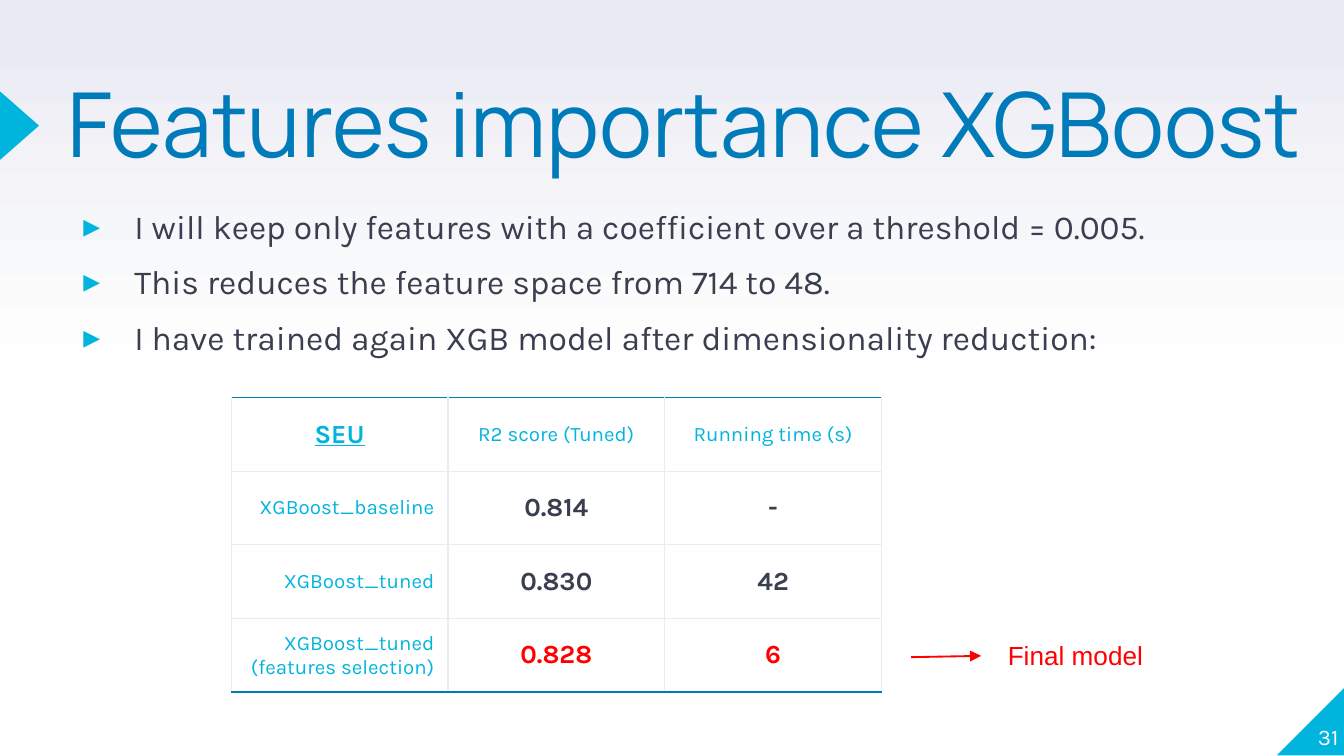
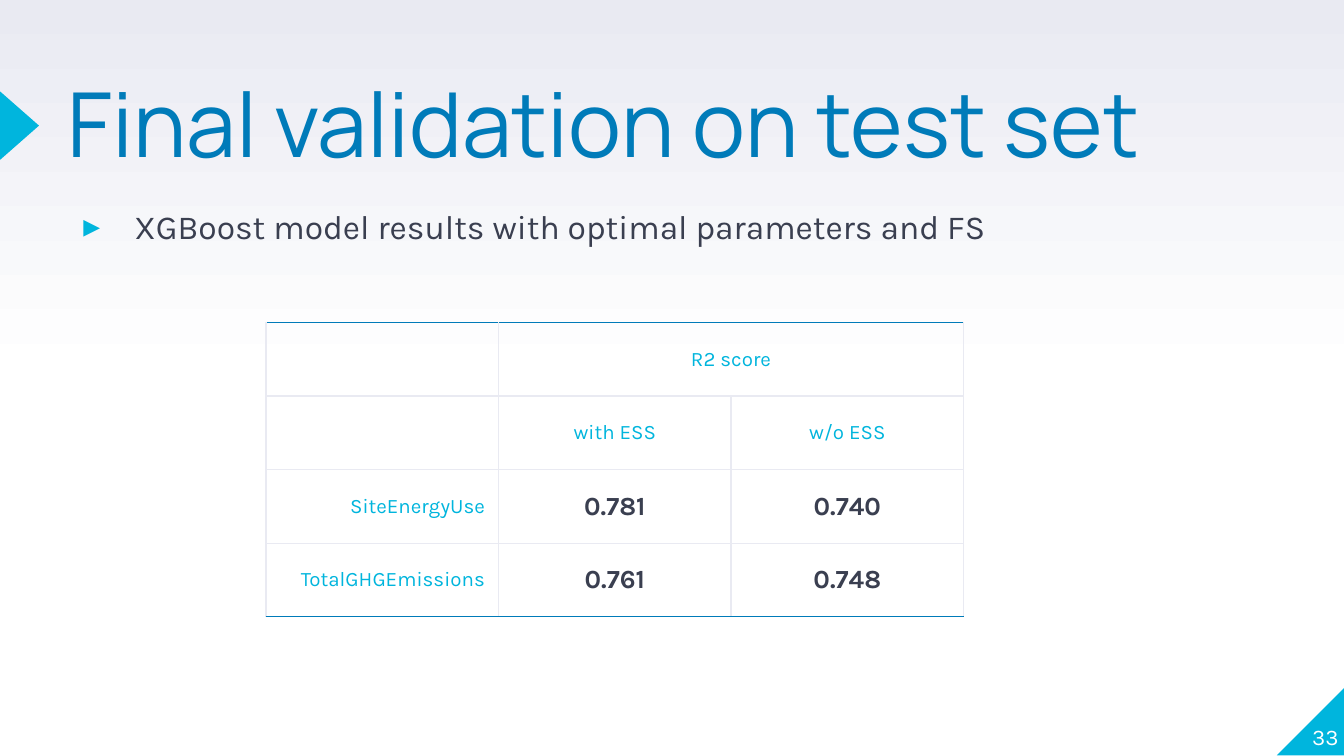
"""Build two slides on feature selection and final validation."""
import copy

import lxml.etree
import pptx
import pptx.dml.color
import pptx.enum.shapes
import pptx.enum.text
import pptx.oxml.ns
import pptx.util

Inches = pptx.util.Inches
Pt = pptx.util.Pt
qn = pptx.oxml.ns.qn
RGB = pptx.dml.color.RGBColor
ALIGN = pptx.enum.text.PP_ALIGN
ANCHOR = pptx.enum.text.MSO_ANCHOR
AUTO = pptx.enum.text.MSO_AUTO_SIZE
SHAPE = pptx.enum.shapes.MSO_SHAPE

BLUE = RGB(0x00, 0x7B, 0xB9)
CYAN = RGB(0x00, 0xB5, 0xDD)
INK = RGB(0x3A, 0x3F, 0x50)
MIST = RGB(0xE9, 0xEA, 0xF2)
RED = RGB(0xFF, 0x00, 0x00)
WHITE = RGB(0xFF, 0xFF, 0xFF)

TITLE = {"name": "Manrope", "size": Pt(48), "color": BLUE}
BODY = {"name": "Karla", "size": Pt(18), "color": INK}
NUMBER = {"name": "Karla", "size": Pt(12), "color": WHITE}
LABEL = {"name": "Karla", "size": Pt(11), "color": CYAN, "bold": False}
VALUE = {"name": "Karla", "size": Pt(14), "color": INK, "bold": True}
CORNER = VALUE | {"color": CYAN, "underline": True}
FINAL = VALUE | {"color": RED}
NOTE = {"name": "Arial", "size": Pt(14), "color": RED}

FLUSH = {"margin_left": 0, "margin_top": 0, "margin_right": 0, "margin_bottom": 0,
         "word_wrap": True, "auto_size": AUTO.NONE, "vertical_anchor": ANCHOR.TOP}
CELL = {"margin_left": Inches(0.1), "margin_top": Inches(0.07),
        "margin_right": Inches(0.1), "margin_bottom": Inches(0.07),
        "vertical_anchor": ANCHOR.MIDDLE}


def apply(target, formats):
    """Set each attribute of the target from a dict."""
    for name, value in formats.items():
        setattr(target, name, value)


def place(sp, box):
    """Move a shape to a box given in inches."""
    apply(sp, dict(zip(("left", "top", "width", "height"), map(Inches, box))))


def write(tf, text, font, **para):
    """Write one paragraph per line of text."""
    for i, line in enumerate(text.split("\n")):
        p = tf.add_paragraph() if i else tf.paragraphs[0]
        apply(p, para)
        r = p.add_run()
        r.text = line
        apply(r.font, {k: v for k, v in font.items() if k != "color"})
        r.font.color.rgb = font["color"]


def xml_child(parent, tag, **attrs):
    """Append a DrawingML element."""
    return lxml.etree.SubElement(parent, qn(tag), attrs)


def xml_color(parent, color):
    """Append a solid colour value."""
    xml_child(parent, "a:srgbClr", val=str(color))


def set_background(master):
    """Give the master its vertical fade from mist to white."""
    fill = master.background.fill
    fill.gradient()
    fill.gradient_angle = 90
    first = master.element.find(".//" + qn("a:gs"))
    first.addnext(copy.deepcopy(first))
    for stop, position, color in zip(fill.gradient_stops, (0, 0.5, 1), (WHITE, WHITE, MIST)):
        stop.position = position
        stop.color.rgb = color


def add_triangle(s, kind, box, rotation):
    """Add a plain cyan triangle."""
    sp = s.shapes.add_shape(kind, *map(Inches, box))
    sp.rotation = rotation
    sp.shadow.inherit = False
    sp.fill.solid()
    sp.fill.fore_color.rgb = CYAN
    sp.line.fill.background()


def add_page(prs, title, number):
    """Add a slide with its title, markers and page number."""
    s = prs.slides.add_slide(prs.slide_layouts[1])
    add_triangle(s, SHAPE.RIGHT_TRIANGLE, (9.5, 5.11, 0.51, 0.51), 270)
    add_triangle(s, SHAPE.ISOSCELES_TRIANGLE, (-0.11, 0.79, 0.51, 0.29), 90)
    sp = s.shapes.title
    place(sp, (0.5, 0.66, 9.33, 1.18))
    apply(sp.text_frame, FLUSH)
    write(sp.text_frame, title, TITLE, line_spacing=0.8, alignment=ALIGN.LEFT)
    tf = s.shapes.add_textbox(*map(Inches, (9.46, 5.07, 0.5, 0.51))).text_frame
    apply(tf, FLUSH | {"vertical_anchor": ANCHOR.BOTTOM})
    write(tf, number, NUMBER, alignment=ALIGN.RIGHT)
    return s


def fill_bullets(s, box, text):
    """Fill the body placeholder with arrow bullets."""
    sp = s.placeholders[1]
    place(sp, box)
    apply(sp.text_frame, FLUSH)
    write(sp.text_frame, text, BODY, line_spacing=1.1, space_before=Pt(6))
    for p in sp.text_frame.paragraphs:
        ppr = p._p.get_or_add_pPr()
        ppr.set("marL", str(Inches(0.5)))
        ppr.set("indent", str(Inches(-0.38)))
        xml_color(xml_child(ppr, "a:buClr"), CYAN)
        xml_child(ppr, "a:buChar", char="▸")


def set_borders(cell, top, bottom):
    """Draw the four borders of a cell."""
    tcpr = cell._tc.get_or_add_tcPr()
    for i, (side, color) in enumerate(zip("LRTB", (MIST, MIST, top, bottom))):
        ln = xml_child(tcpr, "a:ln" + side, w=str(Pt(0.75)))
        xml_color(xml_child(ln, "a:solidFill"), color)
        tcpr.insert(i, ln)


def add_scores(s, box, rows, headers, styles, merge=None):
    """Add a score table with label headers and bold values."""
    n, m = len(rows), len(rows[0])
    table = s.shapes.add_table(n, m, *map(Inches, box)).table
    apply(table, {"first_row": False, "horz_banding": False})
    for i, row in enumerate(rows):
        for j, text in enumerate(row):
            cell = table.cell(i, j)
            apply(cell, CELL)
            cell.fill.background()
            set_borders(cell, MIST if i else BLUE, BLUE if i == n - 1 else MIST)
            is_label = i < headers or j == 0
            font = styles.get((i, j), LABEL if is_label else VALUE)
            side = ALIGN.RIGHT if j == 0 and i >= headers else ALIGN.CENTER
            if text:
                write(cell.text_frame, text, font, alignment=side)
    if merge:
        table.cell(*merge[0]).merge(table.cell(*merge[1]))


def add_callout(s, x, y, text):
    """Point an arrow at a note to its right."""
    c = s.shapes.add_connector(pptx.enum.shapes.MSO_CONNECTOR.STRAIGHT, Inches(x),
                               Inches(y + 0.01), Inches(x + 0.52), Inches(y))
    c.line.color.rgb = RED
    c.line.width = Pt(1)
    xml_child(c.line._get_or_add_ln(), "a:tailEnd", type="triangle")
    xml_child(c._element.spPr, "a:effectLst")
    tb = s.shapes.add_textbox(Inches(x + 0.62), Inches(y - 0.17), Inches(1.21), Inches(0.34))
    write(tb.text_frame, text, NOTE)


def importance_slide(prs):
    """Build the slide on feature importance."""
    s = add_page(prs, "Features importance XGBoost", "31")
    fill_bullets(s, (0.5, 1.5, 8.87, 1.46),
                 "I will keep only features with a coefficient over a threshold = 0.005.\n"
                 "This reduces the feature space from 714 to 48.\n"
                 "I have trained again XGB model after dimensionality reduction:")
    rows = [("SEU", "R2 score (Tuned)", "Running time (s)"),
            ("XGBoost_baseline", "0.814", "-"),
            ("XGBoost_tuned", "0.830", "42"),
            ("XGBoost_tuned\n(features selection)", "0.828", "6")]
    add_scores(s, (1.72, 2.96, 4.84, 2.19), rows, 1,
               {(0, 0): CORNER, (3, 1): FINAL, (3, 2): FINAL})
    add_callout(s, 6.78, 4.88, "Final model")


def validation_slide(prs):
    """Build the slide on the final validation."""
    s = add_page(prs, "Final validation on test set", "33")
    fill_bullets(s, (0.5, 1.5, 8.87, 4.09),
                 "XGBoost model results with optimal parameters and FS")
    rows = [("", "R2 score", ""),
            ("", "with ESS", "w/o ESS"),
            ("SiteEnergyUse", "0.781", "0.740"),
            ("TotalGHGEmissions", "0.761", "0.748")]
    add_scores(s, (1.98, 2.4, 5.19, 2.19), rows, 2, {}, ((0, 1), (0, 2)))


def main():
    """Build and save the presentation."""
    prs = pptx.Presentation()
    apply(prs, {"slide_width": Inches(10), "slide_height": Inches(10 * 9 / 16)})
    set_background(prs.slide_master)
    importance_slide(prs)
    validation_slide(prs)
    prs.save("out.pptx")


if __name__ == "__main__":
    main()
